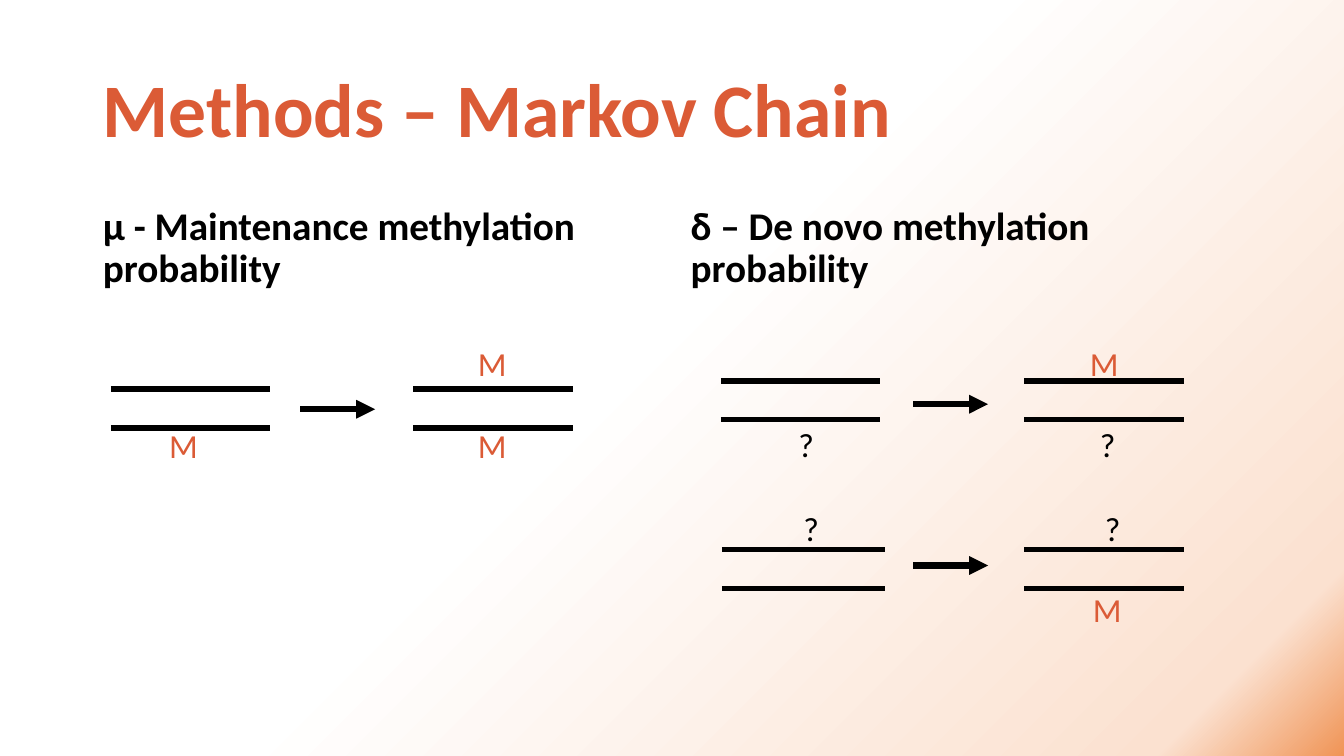
from dataclasses import dataclass

from lxml import etree
from pptx import Presentation
from pptx.dml.color import RGBColor
from pptx.enum.shapes import MSO_CONNECTOR
from pptx.enum.text import MSO_ANCHOR, MSO_AUTO_SIZE, PP_ALIGN
from pptx.oxml.ns import qn
from pptx.util import Inches, Pt

STRAIGHT = MSO_CONNECTOR.STRAIGHT
MIDDLE, TOP = MSO_ANCHOR.MIDDLE, MSO_ANCHOR.TOP
LEFT = PP_ALIGN.LEFT
NO_AUTOFIT, FIT_SHAPE = MSO_AUTO_SIZE.NONE, MSO_AUTO_SIZE.SHAPE_TO_FIT_TEXT

FONT = "Calibri"
ORANGE, BLACK = "DB5B36", "000000"
# Position %, colour, opacity %
BACKGROUND_STOPS = [(34, "FFFFFF", 100), (47, "FFFFFF", 21),
                    (91, "FBE1D0", 100), (100, "F09456", 100)]
STRAND_LENGTH, STRAND_GAP = 1.58, 0.385
ARROW_LENGTH = 0.74


@dataclass
class Duplex:
    """Two parallel DNA strands."""
    left: float
    top: float
    length: float = STRAND_LENGTH


@dataclass
class Arrow:
    left: float
    y: float


@dataclass
class Mark:
    """Methylation state beside a strand: M is methylated, ? is unknown."""
    text: str
    left: float
    top: float


DUPLEXES = [
    Duplex(1.1, 3.86), Duplex(4.1, 3.86),
    Duplex(7.15, 3.78), Duplex(10.16, 3.78),
    Duplex(7.16, 5.45, 1.62), Duplex(10.16, 5.45),
]
ARROWS = [Arrow(2.98, 4.06), Arrow(9.06, 4.01), Arrow(9.06, 5.61)]
MARKS = [
    Mark("M", 1.58, 4.17), Mark("M", 4.64, 3.35), Mark("M", 4.64, 4.17),
    Mark("?", 7.82, 4.16), Mark("M", 10.71, 3.35), Mark("?", 10.81, 4.16),
    Mark("?", 7.87, 4.99), Mark("?", 10.86, 4.99), Mark("M", 10.74, 5.79),
]


def rgb(colour: str) -> RGBColor:
    return RGBColor.from_string(colour)


def paint_background(slide) -> None:
    slide.background.fill.gradient()
    gradient = slide.element.find(".//" + qn("a:gradFill"))
    for child in list(gradient):
        gradient.remove(child)
    stops = etree.SubElement(gradient, qn("a:gsLst"))
    for position, colour, opacity in BACKGROUND_STOPS:
        stop = etree.SubElement(stops, qn("a:gs"), pos=str(position * 1000))
        shade = etree.SubElement(stop, qn("a:srgbClr"), val=colour)
        if opacity < 100:
            etree.SubElement(shade, qn("a:alpha"), val=str(opacity * 1000))
    circle = etree.SubElement(gradient, qn("a:path"), path="circle")
    etree.SubElement(circle, qn("a:fillToRect"), r="100000", b="100000")


def format_run(paragraph, size: float, colour: str, bold: bool = False) -> None:
    font = paragraph.runs[0].font
    font.name, font.size, font.bold = FONT, Pt(size), bold
    font.color.rgb = rgb(colour)


def fill_placeholder(shape, text: str, box: tuple[float, float, float, float],
                     size: float, colour: str, anchor, space_before: float):
    shape.left, shape.top, shape.width, shape.height = map(Inches, box)
    frame = shape.text_frame
    frame.text = text
    frame.auto_size = NO_AUTOFIT
    frame.vertical_anchor = anchor
    paragraph = frame.paragraphs[0]
    paragraph.alignment = LEFT
    paragraph.line_spacing = 0.9
    paragraph.space_before = Pt(space_before)
    format_run(paragraph, size, colour, bold=True)
    return paragraph


def remove_bullet(paragraph) -> None:
    properties = paragraph._p.get_or_add_pPr()
    properties.set("marL", "0")
    properties.set("indent", "0")
    etree.SubElement(properties, qn("a:buNone"))


def add_line(slide, left: float, y: float, length: float, width: float,
             arrowhead: bool = False) -> None:
    connector = slide.shapes.add_connector(
        STRAIGHT, Inches(left), Inches(y), Inches(left + length), Inches(y))
    connector.line.color.rgb = rgb(BLACK)
    connector.line.width = Pt(width)
    if arrowhead:
        etree.SubElement(connector.line._get_or_add_ln(), qn("a:tailEnd"),
                         type="triangle")
    etree.SubElement(connector._element.spPr, qn("a:effectLst"))


def add_mark(slide, mark: Mark) -> None:
    methylated = mark.text == "M"
    width = 0.49 if methylated else 0.36
    box = slide.shapes.add_textbox(Inches(mark.left), Inches(mark.top),
                                   Inches(width), Inches(0.5))
    frame = box.text_frame
    frame.text = mark.text
    frame.word_wrap = False
    frame.auto_size = FIT_SHAPE
    format_run(frame.paragraphs[0], 24, ORANGE if methylated else BLACK)


def main() -> None:
    presentation = Presentation()
    presentation.slide_width = Inches(13.33)
    presentation.slide_height = Inches(7.5)
    slide = presentation.slides.add_slide(presentation.slide_layouts[3])
    paint_background(slide)

    # Title and the two column headings
    fill_placeholder(slide.shapes.title, "Methods – Markov Chain",
                     (0.92, 0.4, 11.5, 1.45), 54, ORANGE, MIDDLE, 0)
    headings = [(1, 0.92, "μ - Maintenance methylation probability"),
                (2, 6.75, "δ – De novo methylation probability")]
    for index, left, text in headings:
        paragraph = fill_placeholder(slide.placeholders[index], text,
                                     (left, 2, 5.67, 4.76), 28, BLACK, TOP, 10)
        remove_bullet(paragraph)

    # Strands, transitions and methylation states
    for duplex in DUPLEXES:
        for strand in range(2):
            add_line(slide, duplex.left, duplex.top + strand * STRAND_GAP,
                     duplex.length, 3.75)
    for arrow in ARROWS:
        add_line(slide, arrow.left, arrow.y, ARROW_LENGTH, 4.5, arrowhead=True)
    for mark in MARKS:
        add_mark(slide, mark)

    presentation.save("out.pptx")


if __name__ == "__main__":
    main()
